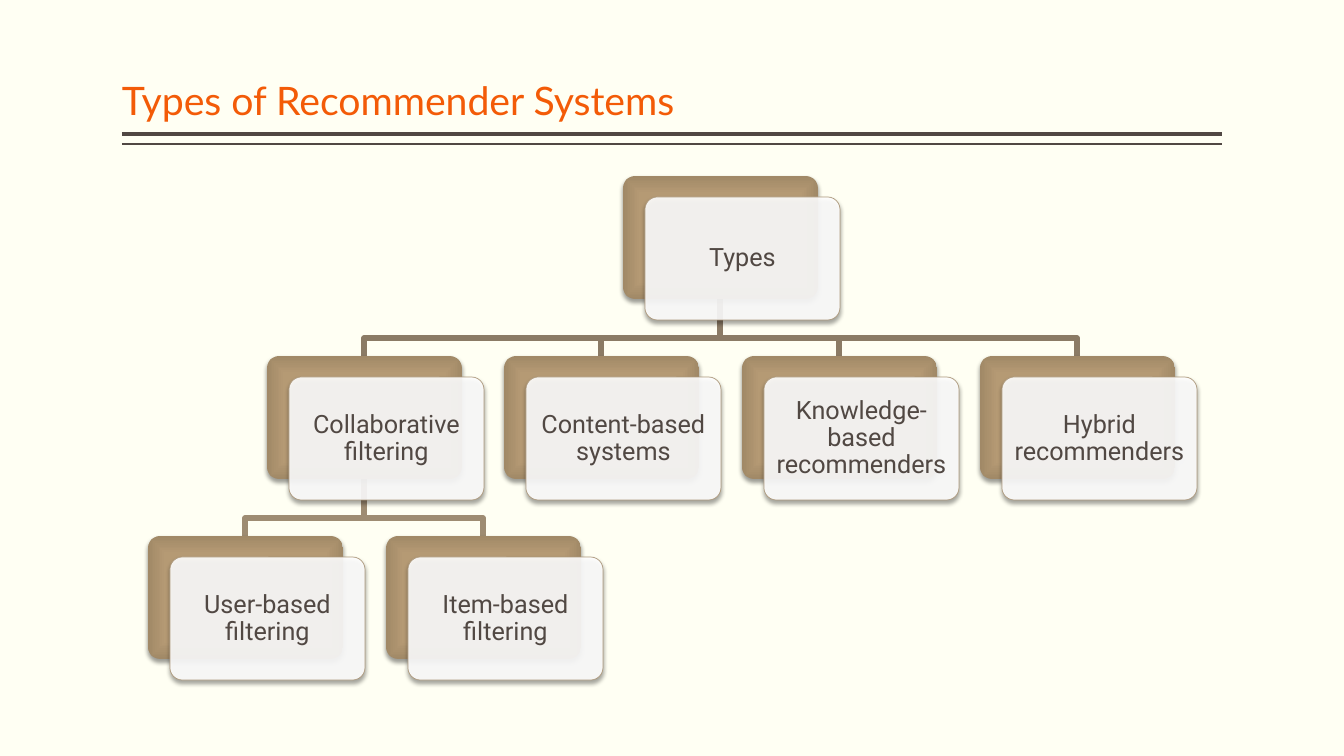
from lxml import etree
from pptx import Presentation
from pptx.dml.color import RGBColor
from pptx.enum.shapes import MSO_CONNECTOR, MSO_SHAPE
from pptx.enum.text import MSO_ANCHOR, PP_ALIGN
from pptx.oxml import parse_xml
from pptx.oxml.ns import nsdecls, qn
from pptx.util import Pt

ROUND = MSO_SHAPE.ROUNDED_RECTANGLE
STRAIGHT = MSO_CONNECTOR.STRAIGHT
LEFT, CENTER = PP_ALIGN.LEFT, PP_ALIGN.CENTER
MIDDLE, BOTTOM = MSO_ANCHOR.MIDDLE, MSO_ANCHOR.BOTTOM

SCALE = 12192000 / 1344  # EMU in one px
COLORS = {
    "page": "FFFFF3", "title": "F35B07", "text": "514843",
    "card": "FFFFFF", "edge": "AE9A7E", "shadow": "000000",
    "inner": "B79B75", "mid": "B59A74", "outer": "A18967",
    "top": "8B7B65", "low": "9E8C72",
}
BOX_W, BOX_H = 195, 123
SHIFT_X, SHIFT_Y = 22, 21
LEFT_X, TOP_Y = 148, 176
STEP, ROW = 118.8, 180
BEND = 39

# Label: half-column steps from the left, row, parent
NODES = {
    "Types": (4, 0, None),
    "Collaborative filtering": (1, 1, "Types"),
    "User-based filtering": (0, 2, "Collaborative filtering"),
    "Item-based filtering": (2, 2, "Collaborative filtering"),
    "Content-based systems": (3, 1, "Types"),
    "Knowledge-based recommenders": (5, 1, "Types"),
    "Hybrid recommenders": (7, 1, "Types"),
}


def px(*sizes):
    return [round(size * SCALE) for size in sizes]


def color(name):
    return RGBColor.from_string(COLORS[name])


def place(label):
    """Return the left and top of a node's back panel in px."""
    step, row, _ = NODES[label]
    return LEFT_X + round(step * STEP), TOP_Y + row * ROW


def write(shape, text, size, font, tone, align=CENTER, anchor=MIDDLE,
          inset=(6, 6)):
    frame = shape.text_frame
    frame.word_wrap = True
    frame.vertical_anchor = anchor
    side, edge = px(*inset)
    frame.margin_left = frame.margin_right = side
    frame.margin_top = frame.margin_bottom = edge
    para = frame.paragraphs[0]
    para.alignment = align
    para.line_spacing = 0.9
    run = para.add_run()
    run.text = text
    run.font.size = Pt(size)
    run.font.name = font
    run.font.color.rgb = color(tone)


def add_rule(slide, y, width):
    rule = slide.shapes.add_connector(STRAIGHT, *px(122, y, 1222, y))
    rule.line.color.rgb = color("text")
    rule.line.width = Pt(width)
    etree.SubElement(rule._element.spPr, qn("a:effectLst"))


def add_elbow(slide, parent, child):
    start_x, start_y = place(parent)
    end_x, end_y = place(child)
    start_x += BOX_W // 2
    end_x += BOX_W // 2
    start_y += BOX_H
    bend_y = start_y + BEND
    path = slide.shapes.build_freeform(*px(start_x, start_y))
    path.add_line_segments(
        [px(start_x, bend_y), px(end_x, bend_y), px(end_x, end_y)], close=False)
    elbow = path.convert_to_shape()
    elbow.shadow.inherit = False
    elbow.fill.background()
    elbow.line.color.rgb = color("top" if NODES[parent][1] == 0 else "low")
    elbow.line.width = Pt(3.78)


def add_panel(slide, x, y):
    """Add a rounded box with a soft shadow below it."""
    panel = slide.shapes.add_shape(ROUND, *px(x, y, BOX_W, BOX_H))
    panel.adjustments[0] = 0.1
    panel.shadow.inherit = False
    effects = panel._element.spPr.find(qn("a:effectLst"))
    effects.append(parse_xml(
        f'<a:outerShdw {nsdecls("a")} blurRad="{Pt(3.1)}" dist="{Pt(2)}" '
        f'dir="5400000" rotWithShape="0"><a:srgbClr val="{COLORS["shadow"]}">'
        '<a:alpha val="38000"/></a:srgbClr></a:outerShdw>'))
    return panel


def shade(panel):
    """Fill a panel with a gradient that darkens towards its edges."""
    stops = "".join(
        f'<a:gs pos="{pos}000"><a:srgbClr val="{COLORS[name]}"/></a:gs>'
        for pos, name in ((0, "inner"), (71, "mid"), (100, "outer")))
    panel.fill.background()
    props = panel._element.spPr
    props.replace(props.find(qn("a:noFill")), parse_xml(
        f'<a:gradFill {nsdecls("a")} rotWithShape="1"><a:gsLst>{stops}</a:gsLst>'
        '<a:path path="rect"><a:fillToRect l="50000" t="50000" r="50000" '
        'b="50000"/></a:path></a:gradFill>'))


def add_node(slide, label):
    x, y = place(label)
    back = add_panel(slide, x, y)
    shade(back)
    back.line.fill.background()

    card = add_panel(slide, x + SHIFT_X, y + SHIFT_Y)
    card.fill.solid()
    card.fill.fore_color.rgb = color("card")
    tint = card._element.spPr.find(qn("a:solidFill"))[0]
    etree.SubElement(tint, qn("a:alpha"), val="90000")
    card.line.color.rgb = color("edge")
    card.line.width = Pt(0.5)
    write(card, label, 18, "Roboto", "text")


def main():
    deck = Presentation()
    deck.slide_width, deck.slide_height = px(1344, 756)
    slide = deck.slides.add_slide(deck.slide_layouts[6])
    slide.background.fill.solid()
    slide.background.fill.fore_color.rgb = color("page")

    add_rule(slide, 134, 3)
    add_rule(slide, 144, 1)
    title = slide.shapes.add_textbox(*px(122, 8, 1100, 121))
    write(title, "Types of Recommender Systems", 28, "Lato", "title",
          align=LEFT, anchor=BOTTOM, inset=(0, 5))

    for label, (_, _, parent) in NODES.items():
        if parent:
            add_elbow(slide, parent, label)
    for label in NODES:
        add_node(slide, label)
    deck.save("out.pptx")


if __name__ == "__main__":
    main()
